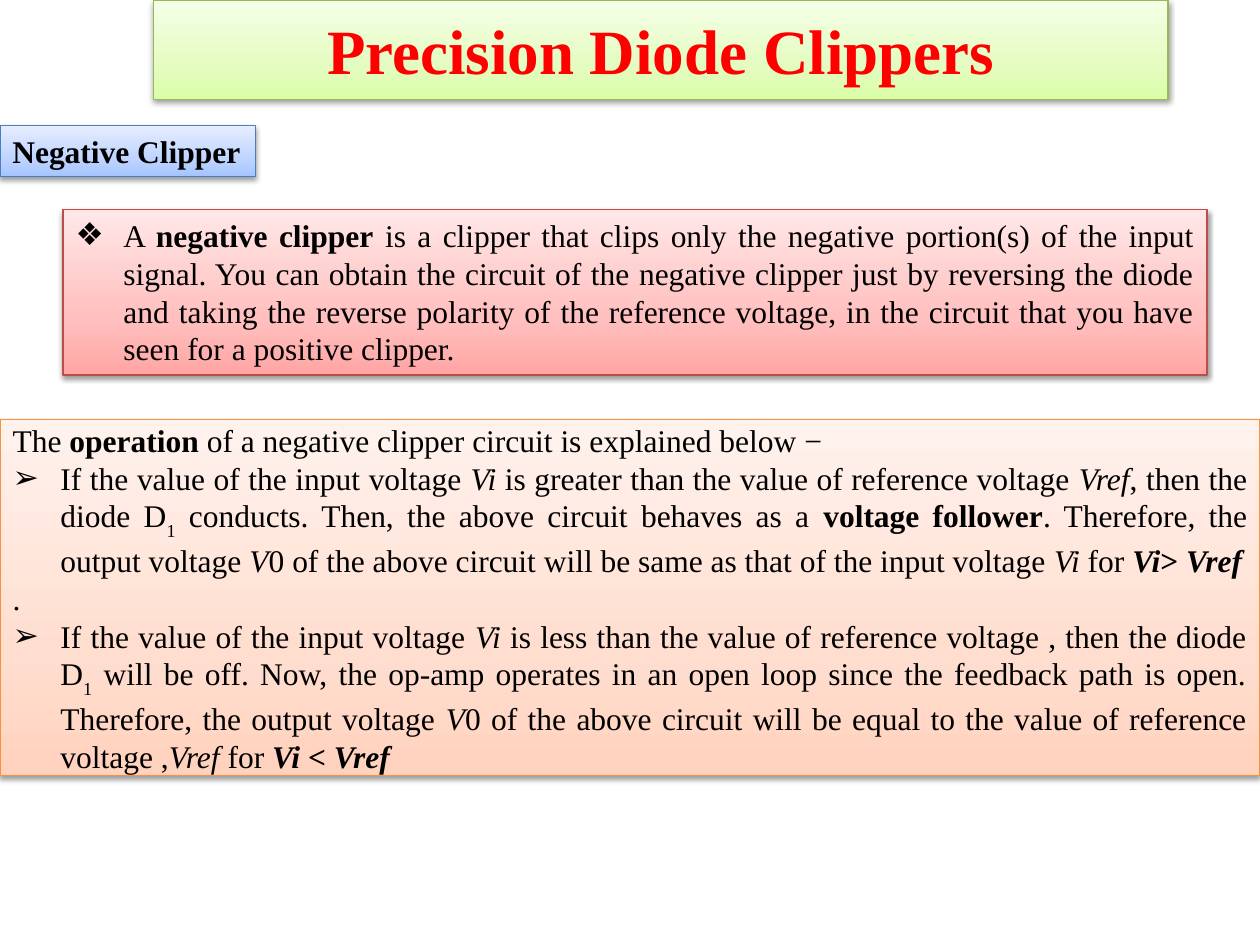
from copy import deepcopy

from lxml.etree import SubElement
from pptx import Presentation
from pptx.dml.color import RGBColor
from pptx.enum.text import MSO_ANCHOR as Anchor, MSO_AUTO_SIZE as AutoSize, PP_ALIGN as Align
from pptx.oxml.ns import qn
from pptx.util import Inches, Pt

WIDTH, HEIGHT = 10, 7.5
FONT = "Times New Roman"
HANG = 0.38

# Panel colours: line, then gradient from bottom to top
GREEN = ("98B955", "DAFDA7", "E4FCC2", "F5FFE7")
BLUE = ("4B7EBC", "A4C4FF", "BFD4FF", "E6EEFF")
RED = ("BF4C48", "FFA6A5", "FFC0BF", "FFE7E7")
ORANGE = ("F69240", "FFD2BD", "FFDED0", "FFF2ED")

# Text is a list of (words, style): b bold, i italic, s subscript
DEFINITION = [
    ("A ", ""), ("negative clipper", "b"),
    (" is a clipper that clips only the negative portion(s) of the input signal. "
     "You can obtain the circuit of the negative clipper just by reversing the diode "
     "and taking the reverse polarity of the reference voltage, in the circuit that "
     "you have seen for a positive clipper.", ""),
]
OPERATION = [("The ", ""), ("operation", "b"),
             (" of a negative clipper circuit is explained below −", "")]
ABOVE_REFERENCE = [
    ("If the value of the input voltage ", ""), ("Vi ", "i"),
    ("is greater than the value of reference voltage ", ""), ("Vref", "i"),
    (", then the diode D", ""), ("1", "s"),
    (" conducts. Then, the above circuit behaves as a ", ""), ("voltage follower", "b"),
    (". Therefore, the output voltage ", ""), ("V", "i"),
    ("0 of the above circuit will be same as that of the input voltage ", ""),
    ("Vi", "i"), (" for ", ""), ("Vi", "bi"), ("> ", "b"), ("Vref", "bi"),
]
BELOW_REFERENCE = [
    ("If the value of the input voltage ", ""), ("Vi ", "i"),
    ("is less than the value of reference voltage , then the diode D", ""), ("1", "s"),
    (" will be off. Now, the op-amp operates in an open loop since the feedback path "
     "is open. Therefore, the output voltage ", ""), ("V", "i"),
    ("0 of the above circuit will be equal to the value of reference voltage ,", ""),
    ("Vref", "i"), (" for ", ""), ("Vi", "bi"), (" < ", "b"), ("Vref", "bi"),
]


def rgb(value):
    return RGBColor.from_string(value)


def place(box, left, top, width, height):
    """Position a box by shares of the slide's size."""
    box.left, box.width = Inches(left * WIDTH), Inches(width * WIDTH)
    box.top, box.height = Inches(top * HEIGHT), Inches(height * HEIGHT)


def style_panel(box, colours):
    """Give a box a three-stop gradient, a thin line and a soft shadow."""
    line, *stops = colours
    box.fill.gradient()
    box.fill.gradient_angle = 90
    stop_list = box._element.spPr.find(qn("a:gradFill")).find(qn("a:gsLst"))
    stop_list.append(deepcopy(stop_list[-1]))
    for stop, position, colour in zip(box.fill.gradient_stops, (0, 0.35, 1), stops):
        stop.position = position
        stop.color.rgb = rgb(colour)
    box.line.color.rgb = rgb(line)
    box.line.width = Pt(0.75)
    box.shadow.inherit = False
    effects = box._element.spPr.find(qn("a:effectLst"))
    shadow = SubElement(effects, qn("a:outerShdw"), blurRad=str(Pt(3.1)),
                        dist=str(Pt(1.6)), dir="5400000", rotWithShape="0")
    black = SubElement(shadow, qn("a:srgbClr"), val="000000")
    SubElement(black, qn("a:alpha"), val="38000")


def set_bullet(para, bullet):
    props = para._p.get_or_add_pPr()
    hang = Inches(HANG) if bullet else 0
    props.set("marL", str(hang))
    props.set("indent", str(-hang))
    if bullet:
        SubElement(props, qn("a:buChar"), char=bullet)
    else:
        SubElement(props, qn("a:buNone"))


def write(para, spans, size=18, colour="000000", align=Align.JUSTIFY, bullet=None):
    set_bullet(para, bullet)
    para.alignment = align
    para.space_before = Pt(0)
    for words, style in spans:
        span = para.add_run()
        span.text = words
        font = span.font
        font.name, font.size = FONT, Pt(size)
        font.color.rgb = rgb(colour)
        font.bold, font.italic = "b" in style, "i" in style
        if "s" in style:
            span._r.get_or_add_rPr().set("baseline", "-30000")


def fill_box(box, paragraphs, anchor=Anchor.TOP, wrap=True, **text_format):
    """Write (spans, bullet) pairs, one paragraph each, in a box of fixed size."""
    frame = box.text_frame
    frame.word_wrap, frame.auto_size = wrap, AutoSize.NONE
    frame.vertical_anchor = anchor
    for index, (spans, bullet) in enumerate(paragraphs):
        para = frame.add_paragraph() if index else frame.paragraphs[0]
        write(para, spans, bullet=bullet, **text_format)


def main():
    deck = Presentation()
    deck.slide_width, deck.slide_height = Inches(WIDTH), Inches(HEIGHT)
    page = deck.slides.add_slide(deck.slide_layouts.get_by_name("Two Content"))
    title, definition, operation = list(page.placeholders)[:3]
    for spare in list(page.placeholders)[3:]:
        spare._element.getparent().remove(spare._element)
    heading = page.shapes.add_textbox(0, 0, 0, 0)

    # Panels
    for box, colours, area in (
        (title, GREEN, (0.122, 0, 0.805, 0.105)),
        (heading, BLUE, (0, 0.133, 0.203, 0.054)),
        (definition, RED, (0.05, 0.222, 0.908, 0.175)),
        (operation, ORANGE, (0, 0.444, 1, 0.377)),
    ):
        place(box, *area)
        style_panel(box, colours)

    # Title and heading
    fill_box(title, [([("Precision Diode Clippers", "b")], None)], anchor=Anchor.MIDDLE,
             size=36, colour="FF0000", align=Align.CENTER)
    fill_box(heading, [([("Negative Clipper", "b")], None)], wrap=False, align=Align.LEFT)

    # Explanations
    fill_box(definition, [(DEFINITION, "❖")])
    fill_box(operation, [(OPERATION, None), (ABOVE_REFERENCE, "➢"),
                         ([(".", "")], None), (BELOW_REFERENCE, "➢")],
             anchor=Anchor.MIDDLE)

    deck.save("out.pptx")


if __name__ == "__main__":
    main()
